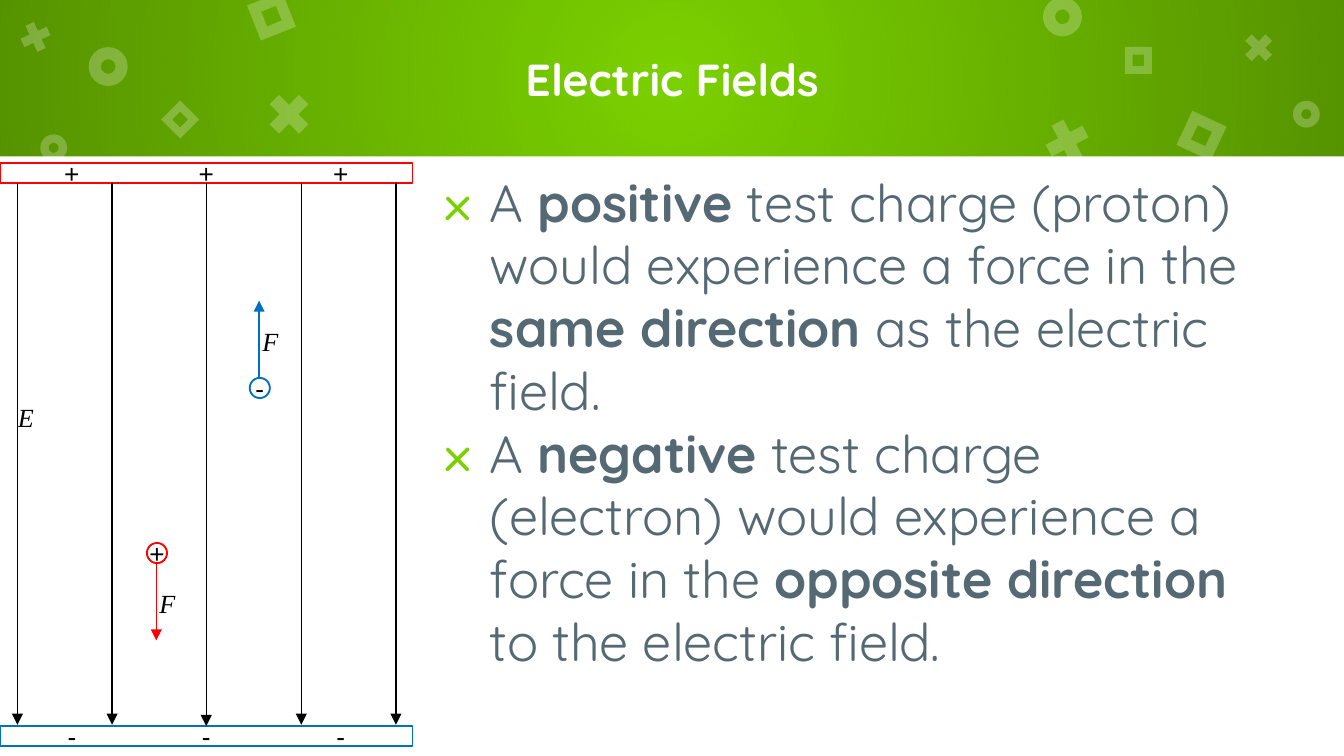
from dataclasses import dataclass

from lxml import etree
from pptx import Presentation
from pptx.dml.color import RGBColor
from pptx.enum.shapes import MSO_CONNECTOR, MSO_SHAPE
from pptx.enum.text import MSO_ANCHOR, PP_ALIGN
from pptx.oxml import parse_xml
from pptx.oxml.ns import nsdecls, qn
from pptx.util import Inches, Pt


@dataclass(frozen=True)
class Theme:
    green: str = "7BD100"
    white: str = "FFFFFF"
    black: str = "000000"
    slate: str = "546973"
    positive: str = "FF0000"
    negative: str = "0070C0"
    text_font: str = "Quicksand"
    sign_font: str = "Arial"
    symbol_font: str = "Times New Roman"
    title_size: int = 24
    body_size: int = 28
    bullet_percent: int = 125
    diagram_size: int = 14
    outline: float = 1
    arrow: float = 0.75


THEME = Theme()

# The grid has square cells, ten to the inch
COLUMNS, ROWS = 100, 56.25
HEADER_ROWS = 11.63
PLATE_COLUMNS, PLATE_ROWS = 30.7, 1.5
TOP_PLATE, BOTTOM_PLATE = 12.12, 54.03
FIELD_LINES, FIRST_LINE, LAST_LINE = 5, 1.3, 29.46
CHARGE, FORCE = 1.5, 5.75

# column, row, size, rotation
CONFETTI = {
    (MSO_SHAPE.DONUT, 0.31): [
        (6.6, 3.5, 2.9, 0), (77.6, -0.2, 2.9, 0), (3, 10, 2, 0), (96.2, 7.5, 2, 0)],
    (MSO_SHAPE.MATH_MULTIPLY, 0.235): [
        (19.4, 6.4, 4.2, 0), (77.3, 8.4, 4.2, 17.5), (1.2, 1.3, 2.9, 20.4), (92.2, 2.1, 2.9, 0)],
    (MSO_SHAPE.FRAME, 0.289): [
        (18.8, -0.2, 2.8, 338.4), (88, 8.7, 2.8, 25), (12.4, 7.9, 2, 45), (83.7, 3.5, 2, 0)],
}

# Pieces of each paragraph alternate between regular and bold
STATEMENTS = [
    ["A ", "positive", " test charge (proton) would experience a force in the ",
     "same direction", " as the electric field."],
    ["A ", "negative", " test charge (electron) would experience a force in the ",
     "opposite direction", " to the electric field."],
]


def cells(*counts):
    return [Inches(count / 10) for count in counts]


def rgb(color):
    return RGBColor.from_string(color)


def style(paragraph, font, size, color, bold=None, italic=None):
    paragraph.font.name = font
    paragraph.font.size = Pt(size)
    paragraph.font.color.rgb = rgb(color)
    paragraph.font.bold = bold
    paragraph.font.italic = italic


def add_filled(slide, kind, box, color=THEME.white, alpha=None):
    shape = slide.shapes.add_shape(kind, *cells(*box))
    shape.shadow.inherit = False
    shape.line.fill.background()
    shape.fill.solid()
    shape.fill.fore_color.rgb = rgb(color)
    if alpha is not None:
        tint = shape.fill._xPr.find(qn("a:solidFill"))[0]
        etree.SubElement(tint, qn("a:alpha")).set("val", str(alpha * 1000))
    return shape


def add_header_shade(slide):
    """Darken the header from its centre towards its edges."""
    shade = add_filled(slide, MSO_SHAPE.RECTANGLE, (0, 0, COLUMNS, HEADER_ROWS))
    stops = "".join(
        f'<a:gs pos="{position}"><a:srgbClr val="{THEME.black}"><a:alpha val="{alpha}"/>'
        f"</a:srgbClr></a:gs>" for position, alpha in ((0, 0), (100000, 30000)))
    gradient = parse_xml(
        f'<a:gradFill {nsdecls("a")} rotWithShape="1"><a:gsLst>{stops}</a:gsLst>'
        '<a:path path="circle"><a:fillToRect l="50000" t="50000" r="50000" b="50000"/>'
        "</a:path></a:gradFill>")
    properties = shade._element.spPr
    properties.replace(properties.find(qn("a:solidFill")), gradient)


def add_confetti(slide):
    for (kind, thickness), places in CONFETTI.items():
        for column, row, size, rotation in places:
            piece = add_filled(slide, kind, (column, row, size, size), alpha=24)
            piece.adjustments[0] = thickness
            piece.rotation = rotation


def add_text_frame(slide, box, margin=1):
    frame = slide.shapes.add_textbox(*cells(*box)).text_frame
    frame.word_wrap = True
    frame.margin_left, frame.margin_top, frame.margin_right, frame.margin_bottom = (
        cells(margin) * 4)
    return frame


def add_title(slide, text):
    frame = add_text_frame(slide, (9.5, 0, 81, HEADER_ROWS))
    frame.vertical_anchor = MSO_ANCHOR.MIDDLE
    title = frame.paragraphs[0]
    title.text = text
    title.alignment = PP_ALIGN.CENTER
    style(title, THEME.text_font, THEME.title_size, THEME.white, bold=True)


def add_bullet(paragraph):
    properties = paragraph._p.get_or_add_pPr()
    indent, hanging = cells(4.75, -3.45)
    properties.set("marL", str(indent))
    properties.set("indent", str(hanging))
    color = etree.SubElement(properties, qn("a:buClr"))
    etree.SubElement(color, qn("a:srgbClr")).set("val", THEME.green)
    etree.SubElement(properties, qn("a:buSzPct")).set("val", str(THEME.bullet_percent * 1000))
    etree.SubElement(properties, qn("a:buFont")).set("typeface", THEME.text_font)
    etree.SubElement(properties, qn("a:buChar")).set("char", "×")


def add_statements(slide):
    frame = add_text_frame(slide, (30.7, HEADER_ROWS, 64.5, 42.2))
    for index, pieces in enumerate(STATEMENTS):
        statement = frame.add_paragraph() if index else frame.paragraphs[0]
        add_bullet(statement)
        style(statement, THEME.text_font, THEME.body_size, THEME.slate)
        for position, piece in enumerate(pieces):
            run = statement.add_run()
            run.text = piece
            run.font.bold = position % 2 == 1


def add_signed(slide, kind, box, signs, color):
    """Outline a plate or charge and write its signs one inch apart."""
    body = slide.shapes.add_shape(kind, *cells(*box))
    body.shadow.inherit = False
    body.fill.background()
    body.line.color.rgb = rgb(color)
    body.line.width = Pt(THEME.outline)
    frame = body.text_frame
    frame.vertical_anchor = MSO_ANCHOR.MIDDLE
    frame.word_wrap = kind == MSO_SHAPE.RECTANGLE
    paragraph = frame.paragraphs[0]
    paragraph.text = signs
    paragraph.alignment = PP_ALIGN.CENTER
    paragraph._p.get_or_add_pPr().set("defTabSz", str(Inches(1)))
    style(paragraph, THEME.sign_font, THEME.diagram_size, THEME.black)
    return body


def add_arrow(slide, column, start, end, color):
    arrow = slide.shapes.add_connector(
        MSO_CONNECTOR.STRAIGHT, *cells(column, start, column, end))
    arrow.line.color.rgb = rgb(color)
    arrow.line.width = Pt(THEME.arrow)
    etree.SubElement(arrow.line._get_or_add_ln(), qn("a:tailEnd")).set("type", "triangle")
    etree.SubElement(arrow._element.spPr, qn("a:effectLst"))
    return arrow


def add_symbol(slide, column, row, letter):
    frame = slide.shapes.add_textbox(*cells(column, row, 3.1, 3.4)).text_frame
    frame.word_wrap = False
    frame.paragraphs[0].text = letter
    style(frame.paragraphs[0], THEME.symbol_font, THEME.diagram_size, THEME.black, italic=True)


def add_field(slide):
    top, bottom = (
        add_signed(slide, MSO_SHAPE.RECTANGLE, (0, row, PLATE_COLUMNS, PLATE_ROWS),
                   "\t".join(sign * 3), color)
        for row, sign, color in ((TOP_PLATE, "+", THEME.positive),
                                 (BOTTOM_PLATE, "-", THEME.negative)))
    gap = (LAST_LINE - FIRST_LINE) / (FIELD_LINES - 1)
    for index in range(FIELD_LINES):
        line = add_arrow(slide, FIRST_LINE + index * gap, TOP_PLATE + PLATE_ROWS,
                         BOTTOM_PLATE - 0.1, THEME.black)
        if index == FIELD_LINES // 2:
            line.begin_connect(top, 2)
            line.end_connect(bottom, 0)
    add_symbol(slide, 0.34, 29.4, "E")


def add_test_charge(slide, column, row, sign, color, direction):
    """Place a charge with its force; direction is 1 for down and -1 for up."""
    add_signed(slide, MSO_SHAPE.OVAL, (column, row, CHARGE, CHARGE), sign, color)
    start = row + CHARGE if direction > 0 else row
    end = start + direction * FORCE
    add_arrow(slide, column + 0.7, start, end, color)
    add_symbol(slide, column - 0.05, (start + end) / 2 - 1.55, "F")


def main():
    deck = Presentation()
    deck.slide_width, deck.slide_height = cells(COLUMNS, ROWS)
    slide = deck.slides.add_slide(deck.slide_layouts[6])
    slide.background.fill.solid()
    slide.background.fill.fore_color.rgb = rgb(THEME.green)
    add_header_shade(slide)
    add_filled(slide, MSO_SHAPE.RECTANGLE, (0, HEADER_ROWS, COLUMNS, ROWS - HEADER_ROWS))
    add_confetti(slide)
    add_title(slide, "Electric Fields")
    add_statements(slide)
    add_field(slide)
    add_test_charge(slide, 10.93, 40.4, "+", THEME.positive, 1)
    add_test_charge(slide, 18.58, 28.12, "-", THEME.negative, -1)
    deck.save("out.pptx")


if __name__ == "__main__":
    main()
